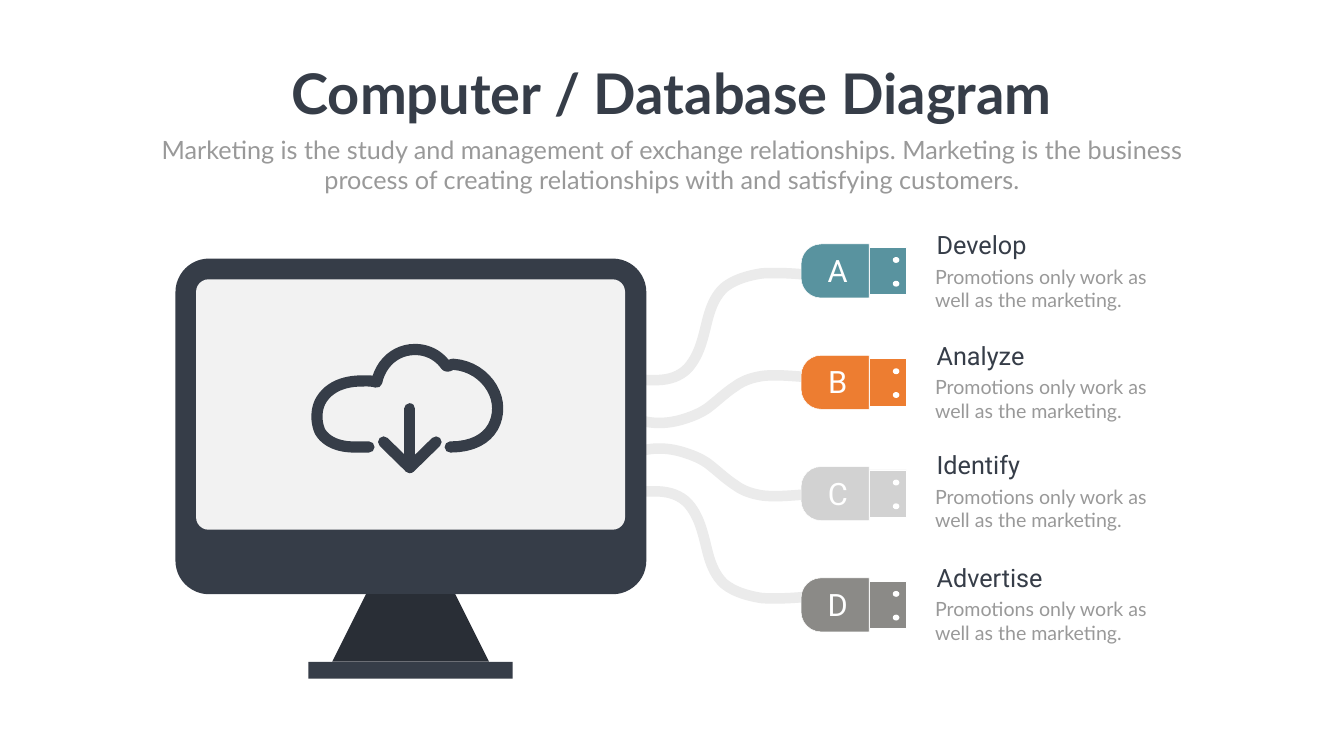
from lxml import etree
from pptx import Presentation
from pptx.dml.color import RGBColor
from pptx.enum import shapes as es, text as et
from pptx.oxml.ns import qn
from pptx.util import Pt

KIND = es.MSO_SHAPE
DARK, GREY, CABLE, WHITE = "363D48", "999999", "EBEBEB", "FFFFFF"
NOTE = "Promotions only work as well as the marketing."
HEAD = {"name": "Roboto", "size": Pt(36)}
BODY = {"name": "Lato", "size": Pt(28)}
MARK = {"name": "Roboto", "size": Pt(44)}

TOP, STEP = 348.5, 159  # first plug and pitch of the rows
AXIS = 622.5  # the lower cables mirror the upper ones here
ROWS = [  # letter, colour, heading, heading top
    ("A", "59939F", "Develop", 324.7),
    ("B", "ED7D31", "Analyze", 482.4),
    ("C", "D2D2D2", "Identify", 638.6),
    ("D", "8B8A87", "Advertise", 799.2),
]

# Each path is a start point, then three points for every cubic curve.
OUTER = [
    (916.6, 542.5), (939.6, 544), (964.8, 544.7), (982.8, 525.6),
    (997.2, 509), (1002.2, 489.6), (1007.3, 469.8),
    (1012.3, 448.6), (1017.4, 427), (1033.6, 411.5),
    (1047.6, 399.6), (1068.5, 393.5), (1088.6, 390.5),
    (1108, 389.5), (1127.5, 390.2), (1147, 392),
]
INNER = [
    (915.8, 600.8), (934, 606), (954, 605), (972, 600),
    (986, 596), (999, 591), (1010, 583.5),
    (1024, 573), (1036, 561), (1050, 552),
    (1062, 543), (1076, 539), (1090, 537),
    (1108, 535), (1127, 537), (1146, 538.2),
]
CLOUD = [
    (527, 638.6), (520, 638.6), (513, 638.6), (506, 638.6),
    (485, 638.6), (466.5, 632), (457.2, 616.7),
    (451, 603), (451, 584.6), (458.6, 571.7),
    (470, 552.5), (492, 544.3), (516.2, 544.3),
    (525, 544), (531, 544), (538, 546),
    (544, 518), (566, 499.3), (592.6, 499.3),
    (610, 499.3), (626, 507), (636.8, 522),
    (640, 525), (644, 520), (648, 520.5),
    (684, 523), (710.8, 553), (710.8, 583.2),
    (710.8, 612), (691, 638.6), (643, 638.6),
]
STEM = [(585.4, 584), (585.4, 668)]
TIP = [(547.9, 631.4), (585.4, 668), (622.8, 631.4)]


def rgb(code):
    return RGBColor.from_string(code)


def place(shape, box):
    for name, val in zip(("left", "top", "width", "height"), box):
        setattr(shape, name, Pt(val))


def write(shape, words, form, color, align=et.PP_ALIGN.LEFT, wrap=True):
    frame = shape.text_frame
    frame.text = words
    frame.word_wrap = wrap
    frame.auto_size = et.MSO_AUTO_SIZE.NONE
    frame.vertical_anchor = et.MSO_ANCHOR.TOP
    para = frame.paragraphs[0]
    para.alignment = align
    para.space_before = Pt(0)
    for name, val in form.items():
        setattr(para.font, name, val)
    para.font.color.rgb = rgb(color)


def label(slide, box, *args):
    write(slide.shapes.add_textbox(*map(Pt, box)), *args)


def solid(slide, kind, box, color, adj=(), edge=None):
    shape = slide.shapes.add_shape(kind, *map(Pt, box))
    shape.shadow.inherit = False
    shape.fill.solid()
    shape.fill.fore_color.rgb = rgb(color)
    for i, val in enumerate(adj):
        shape.adjustments[i] = val
    if edge:
        shape.line.color.rgb = rgb(edge)
        shape.line.width = Pt(0.75)
    else:
        shape.line.fill.background()
    return shape


def curve(path, steps=12):
    """Turn a path of cubic curves into points along it."""
    out = [path[0]]
    for i in range(0, len(path) - 1, 3):
        four = path[i:i + 4]
        for k in range(1, steps + 1):
            t = k / steps
            mix = ((1 - t) ** 3, 3 * t * (1 - t) ** 2, 3 * t * t * (1 - t), t ** 3)
            out.append(tuple(sum(m * p[d] for m, p in zip(mix, four)) for d in (0, 1)))
    return out


def stroke(slide, lines, color, width):
    """Draw open lines as one shape with round ends and joins."""
    first, *rest = [[(Pt(x), Pt(y)) for x, y in line] for line in lines]
    pen = slide.shapes.build_freeform(*first[0], scale=1.0)
    pen.add_line_segments(first[1:], close=False)
    for line in rest:
        pen.move_to(*line[0])
        pen.add_line_segments(line[1:], close=False)
    shape = pen.convert_to_shape()
    shape.shadow.inherit = False
    shape.fill.background()
    shape.line.color.rgb = rgb(color)
    shape.line.width = Pt(width)
    ln = shape.line._get_or_add_ln()
    ln.set("cap", "rnd")
    etree.SubElement(ln, qn("a:round"))


def titles(slide):
    head, sub = slide.placeholders
    mid = et.PP_ALIGN.CENTER
    place(head, (403.2, 80.6, 1112.4, 104.4))
    write(head, "Computer / Database Diagram",
          {"name": "Lato", "size": Pt(80), "bold": True}, DARK, mid, False)
    place(sub, (210.2, 187.9, 1499, 94.3))
    write(sub, "Marketing is the study and management of exchange relationships. "
          "Marketing is the business process of creating relationships with "
          "and satisfying customers.", {"name": "Lato", "size": Pt(36)}, GREY, mid)


def cables(slide):
    for path in (OUTER, INNER):
        flip = [(x, 2 * AXIS - y) for x, y in path]
        for side in (path, flip):
            stroke(slide, [curve(side)], CABLE, 15)


def screen(slide):
    solid(slide, KIND.ROUNDED_RECTANGLE, (250.6, 369.4, 672.5, 479.5), DARK, [0.1])
    solid(slide, KIND.TRAPEZOID, (474.5, 848.9, 224, 96.5), "292E36", [0.5])
    solid(slide, KIND.RECTANGLE, (440.6, 945.4, 291.6, 24), DARK)
    solid(slide, KIND.ROUNDED_RECTANGLE, (280, 399, 612.7, 357.8), "F2F2F2", [0.05])
    stroke(slide, [curve(CLOUD)], DARK, 16)
    stroke(slide, [STEM, TIP], DARK, 16)


def plug(slide, top, color, letter):
    solid(slide, KIND.RECTANGLE, (1241.3, top + 4.7, 53.3, 67.5), color, edge=WHITE)
    wide, high = 97.2, 77.2
    gap = (wide - high) / 2  # the case is a standing shape turned on its side
    case = solid(slide, KIND.ROUND_2_SAME_RECTANGLE,
                 (1144.1 + gap, top - gap, high, wide), color, [0.37, 0], WHITE)
    case.rotation = 270
    for drop in (18.7, 52.6):
        solid(slide, KIND.OVAL, (1275.1, top + drop, 9.4, 8.4), WHITE)
    label(slide, (1171, top + 7.5, 51.1, 60.5), letter, MARK, WHITE, et.PP_ALIGN.CENTER)


def main():
    deck = Presentation()
    deck.slide_width, deck.slide_height = Pt(1919.5), Pt(1080)
    slide = deck.slides.add_slide(deck.slide_layouts[0])
    titles(slide)
    cables(slide)
    for i, (letter, color, name, high) in enumerate(ROWS):
        plug(slide, TOP + i * STEP, color, letter)
        label(slide, (1330.6, high, 187.9, 51.1), name, HEAD, DARK)
        label(slide, (1328.4, high + 50, 340.6, 74.9), NOTE, BODY, GREY)
    screen(slide)
    deck.save("out.pptx")


if __name__ == "__main__":
    main()
